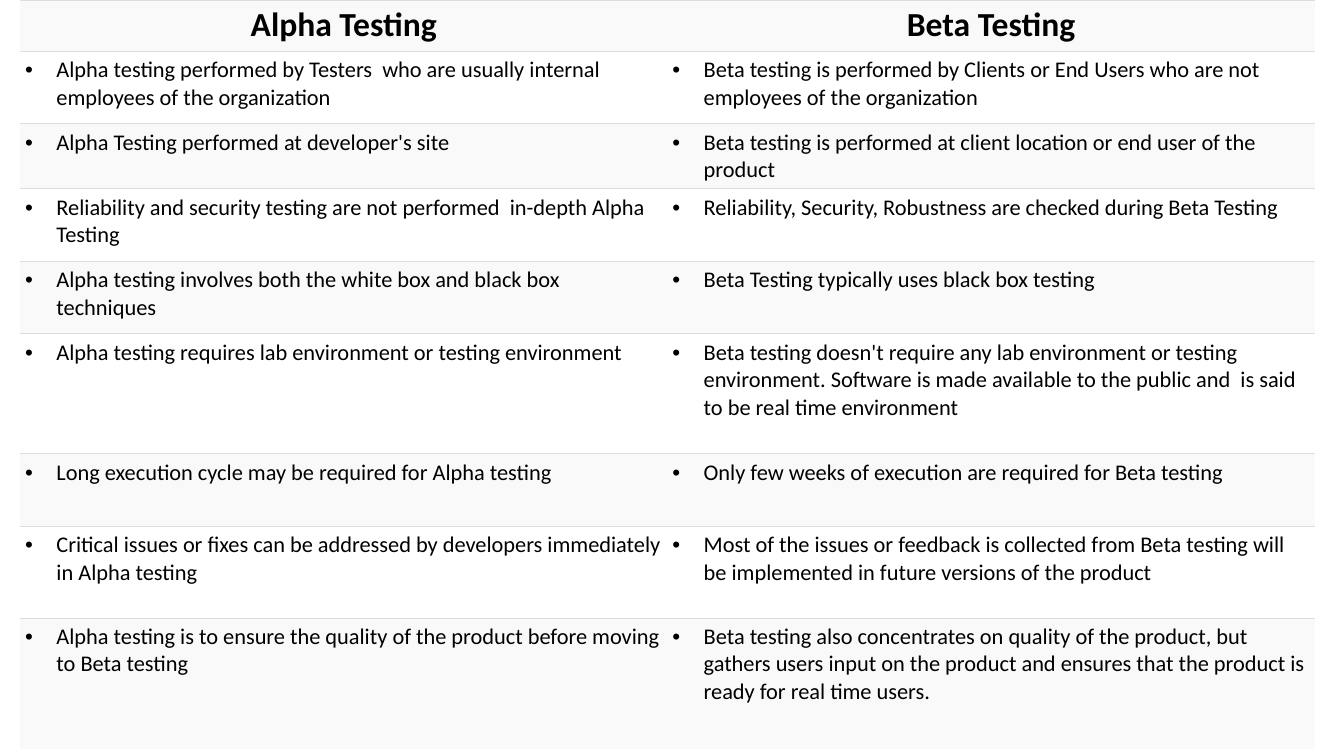
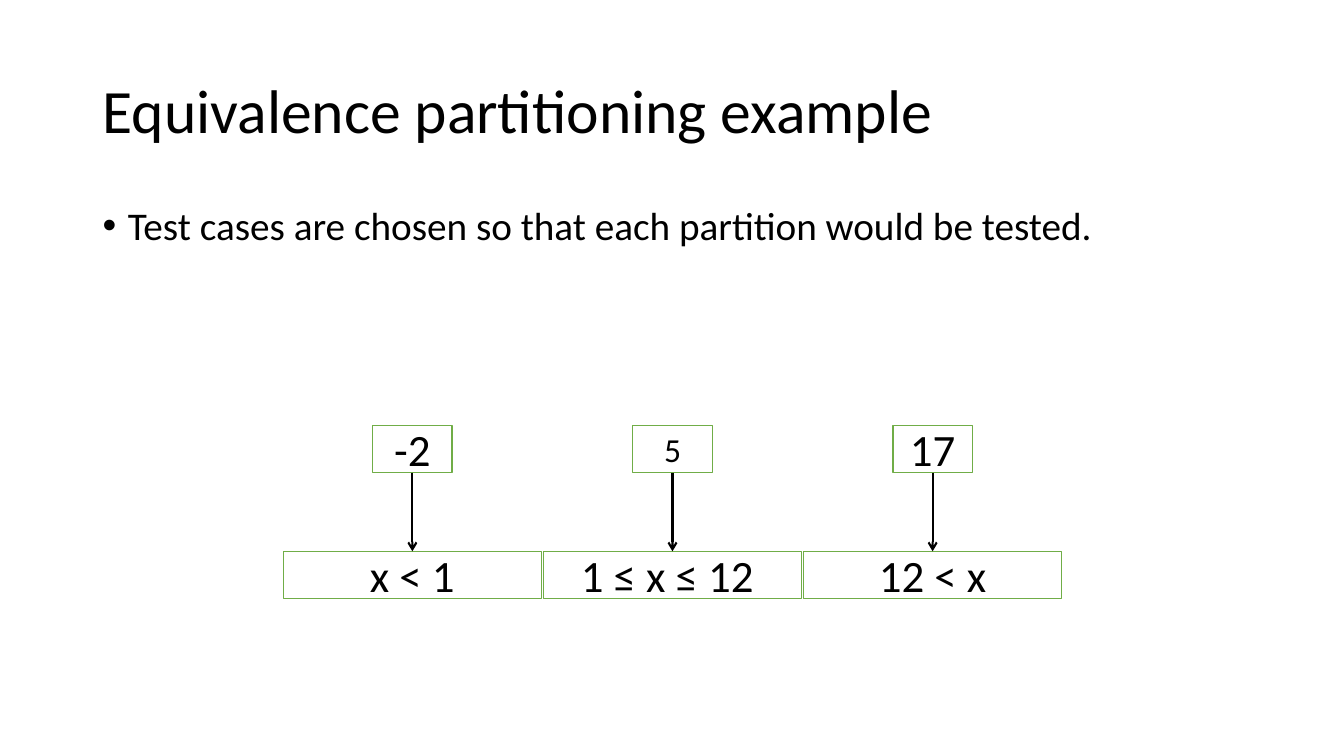
from lxml import etree
from pptx import Presentation
from pptx.dml.color import RGBColor
from pptx.enum.shapes import MSO_CONNECTOR as LINE, MSO_SHAPE as SHAPE
from pptx.enum.text import MSO_ANCHOR as ANCHOR, PP_ALIGN as ALIGN
from pptx.oxml import parse_xml
from pptx.oxml.ns import nsdecls, qn
from pptx.util import Inches, Pt

FONT, BLACK, WHITE, GRAY = "Calibri", "000000", "FFFFFF", "F9F9F9"
RULE, GREEN = "DDDDDD", "70AD47"
PLAIN = "{2D5ABB26-0587-4C30-8999-92F81FD0307C}"
CENTER = {"alignment": ALIGN.CENTER}
BODY = {"line_spacing": 0.9}


def color(fmt, code):
    """Give a fill, or the colour of a font, one solid hex colour."""
    if hasattr(fmt, "solid"):
        fmt.solid()
        fmt = fmt.fore_color
    fmt.rgb = RGBColor.from_string(code)


def write(frame, text, size, para=None, bold=False, hang=0):
    """Fill a frame with one paragraph; hang is the bullet indent in inches."""
    frame.word_wrap = True
    p = frame.paragraphs[0]
    for key, val in (para or {}).items():
        setattr(p, key, val)
    run = p.add_run()
    run.text = text
    for key, val in {"name": FONT, "size": Pt(size), "bold": bold}.items():
        setattr(run.font, key, val)
    color(run.font.color, BLACK)
    if hang:
        ppr = p._p.get_or_add_pPr()
        ppr.set("marL", str(Inches(hang)))
        ppr.set("indent", str(-Inches(hang)))
        etree.SubElement(ppr, qn("a:buFont")).set("typeface", "Arial")
        etree.SubElement(ppr, qn("a:buChar")).set("char", "•")


prs = Presentation()
prs.slide_width, prs.slide_height = Inches(13.33), Inches(7.5)
blank = prs.slide_layouts[6]

# Slide 1: comparison table
rows = [
    (0.51, "Alpha Testing", "Beta Testing"),
    (0.72, "Alpha testing performed by Testers  who are usually internal employees of the organization",
     "Beta testing is performed by Clients or End Users who are not employees of the organization"),
    (0.64, "Alpha Testing performed at developer's site",
     "Beta testing is performed at client location or end user of the product"),
    (0.72, "Reliability and security testing are not performed  in-depth Alpha Testing",
     "Reliability, Security, Robustness are checked during Beta Testing"),
    (0.72, "Alpha testing involves both the white box and black box techniques",
     "Beta Testing typically uses black box testing"),
    (1.19, "Alpha testing requires lab environment or testing environment",
     "Beta testing doesn't require any lab environment or testing environment. "
     "Software is made available to the public and  is said to be real time environment"),
    (0.72, "Long execution cycle may be required for Alpha testing",
     "Only few weeks of execution are required for Beta testing"),
    (0.91, "Critical issues or fixes can be addressed by developers immediately in Alpha testing",
     "Most of the issues or feedback is collected from Beta testing will be implemented "
     "in future versions of the product"),
    (1.3, "Alpha testing is to ensure the quality of the product before moving to Beta testing",
     "Beta testing also concentrates on quality of the product, but gathers users input "
     "on the product and ensures that the product is ready for real time users."),
]
slide = prs.slides.add_slide(blank)
high = sum(row[0] for row in rows)
table = slide.shapes.add_table(len(rows), 2, Inches(0.2), 0, Inches(12.84), Inches(high)).table
table.horz_banding = False
table._tbl.tblPr.find(qn("a:tableStyleId")).text = PLAIN
inset = dict.fromkeys(("margin_left", "margin_top", "margin_right", "margin_bottom"), Inches(0.05))

for r, (tall, *texts) in enumerate(rows):
    table.rows[r].height = Inches(tall)
    for c, text in enumerate(texts):
        cell = table.cell(r, c)
        for key, val in inset.items():
            setattr(cell, key, val)
        color(cell.fill, WHITE if r % 2 else GRAY)
        cell._tc.get_or_add_tcPr().insert(0, parse_xml(
            f'<a:lnT {nsdecls("a")} w="{Pt(0.75)}"><a:solidFill>'
            f'<a:srgbClr val="{RULE}"/></a:solidFill></a:lnT>'))
        if r:
            write(cell.text_frame, text, 16, hang=0.31)
        else:
            write(cell.text_frame, text, 24, CENTER, bold=True)

# Slide 2: partitions and their test values
slide = prs.slides.add_slide(blank)
shapes = slide.shapes
title = shapes.add_textbox(Inches(0.92), Inches(0.4), Inches(11.5), Inches(1.45)).text_frame
title.vertical_anchor = ANCHOR.MIDDLE
write(title, "Equivalence partitioning example", 44, BODY)
body = shapes.add_textbox(Inches(0.92), Inches(2), Inches(11.5), Inches(4.76)).text_frame
write(body, "Test cases are chosen so that each partition would be tested.", 28,
      BODY | {"space_before": Pt(10)}, hang=0.25)

parts = [("x < 1", "-2", 32), ("1 ≤ x ≤ 12 ", "5", 24), ("12 < x", "17", 32)]
mid, step, tall = 4.09, 2.58, 0.47
top, base = 4.22, 5.47
for i, (rule, value, size) in enumerate(parts):
    x = mid + i * step
    for text, pt, wide, y in ((rule, 32, 2.56, base), (value, size, 0.79, top)):
        box = shapes.add_shape(SHAPE.RECTANGLE, Inches(x - wide / 2), Inches(y),
                               Inches(wide), Inches(tall))
        box.shadow.inherit = False
        color(box.fill, WHITE)
        color(box.line.fill, GREEN)
        box.line.width = Pt(1)
        box.text_frame.vertical_anchor = ANCHOR.MIDDLE
        write(box.text_frame, text, pt, CENTER)
    arrow = shapes.add_connector(LINE.STRAIGHT, Inches(x), Inches(top + tall),
                                 Inches(x), Inches(base))
    color(arrow.line.fill, BLACK)
    arrow.line.width = Pt(1.5)
    etree.SubElement(arrow.line._get_or_add_ln(), qn("a:tailEnd")).set("type", "arrow")
    etree.SubElement(arrow._element.spPr, qn("a:effectLst"))

prs.save("out.pptx")
